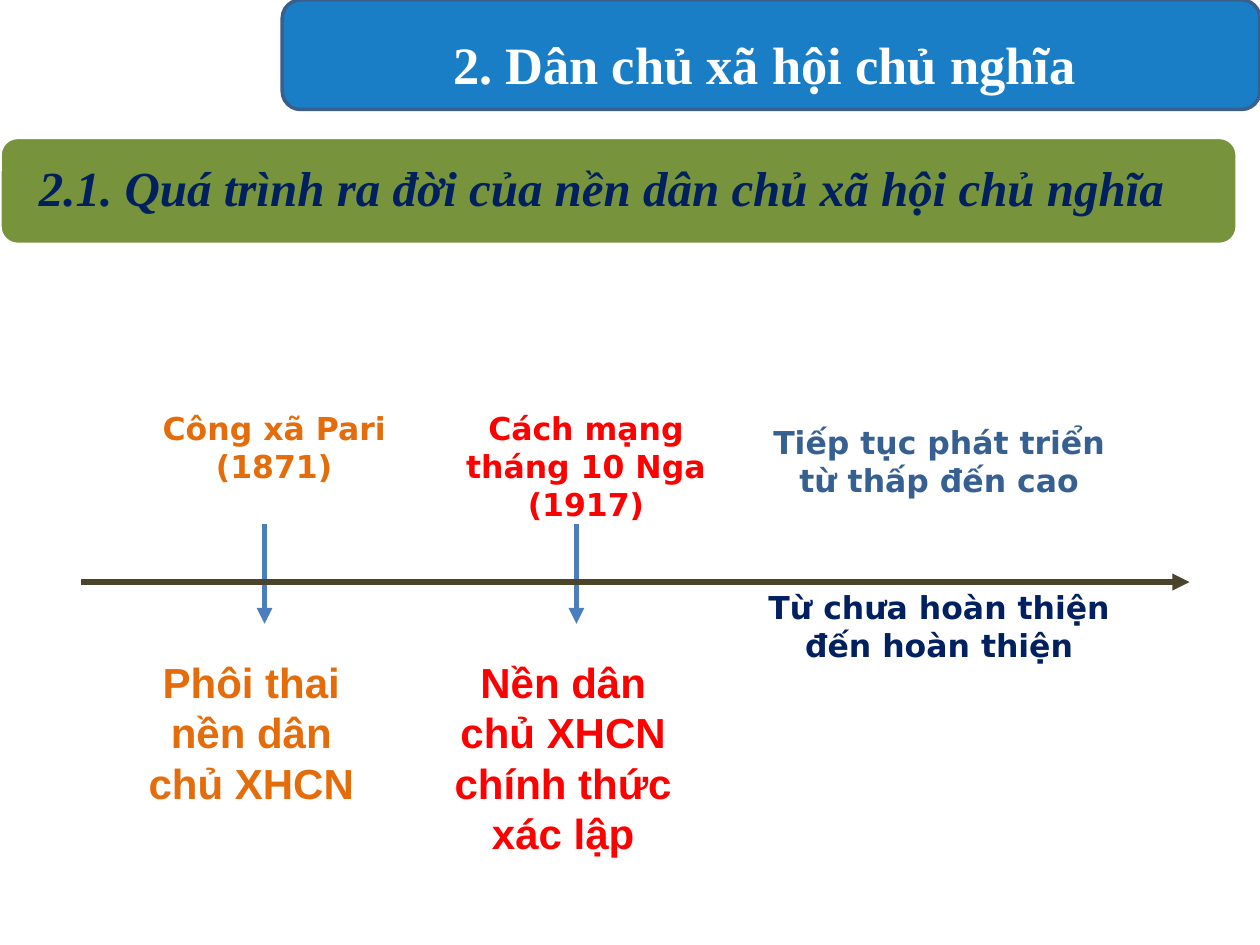
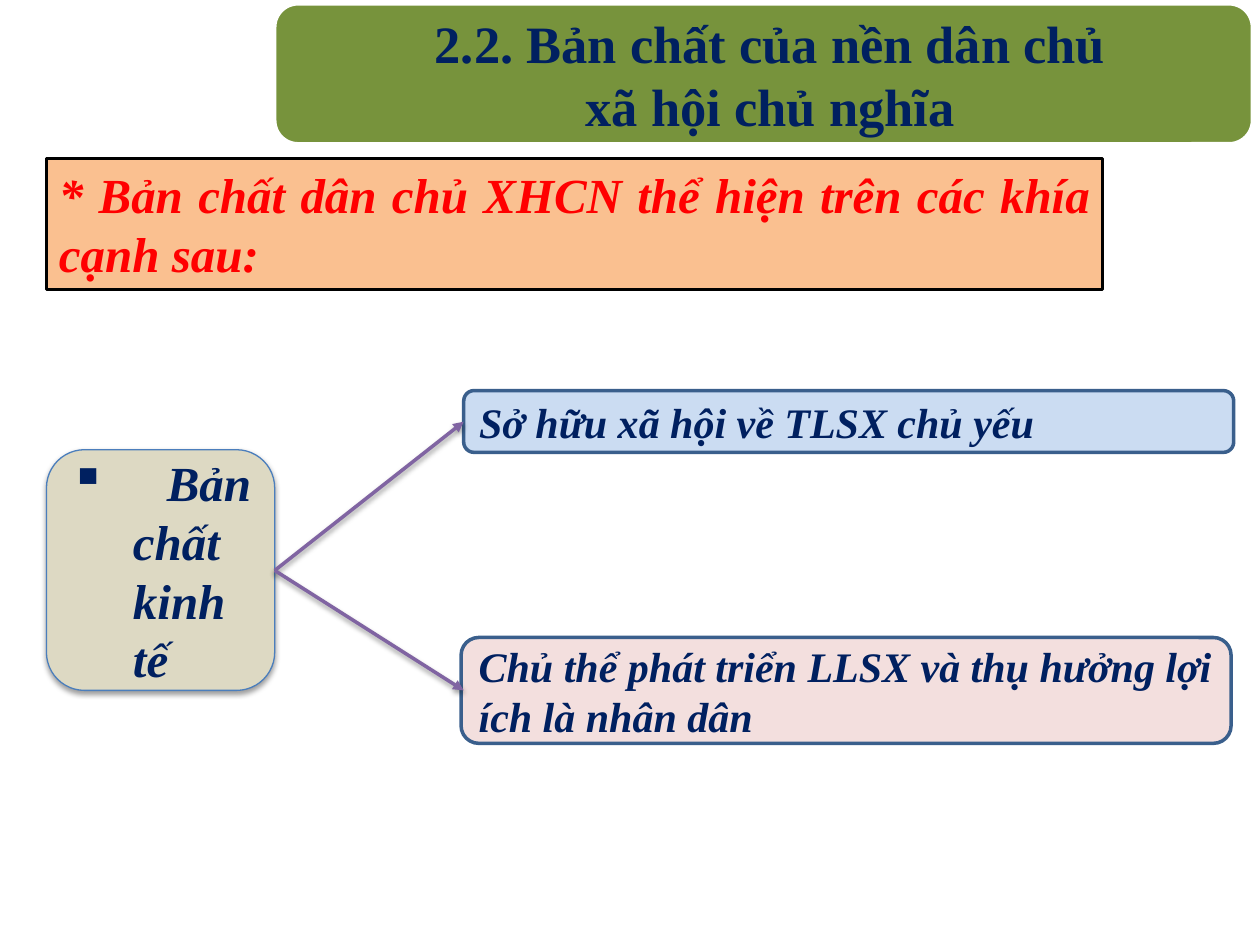
from lxml.etree import SubElement
from pptx import Presentation
from pptx.dml.color import RGBColor
from pptx.enum.shapes import MSO_CONNECTOR, MSO_SHAPE
from pptx.enum.text import MSO_ANCHOR, MSO_AUTO_SIZE, PP_ALIGN
from pptx.oxml.ns import qn
from pptx.util import Pt

# Shared look
NAVY, RED, ORANGE, WHITE = "002060", "FF0000", "E46C0A", "FFFFFF"
GREEN, STEEL, EDGE, PURPLE = "77933C", "4B7EBC", "3A5F8C", "8064A2"
SERIF, SANS, LABEL = "Times New Roman", "Arial", "DejaVu Sans"
ROUND, RECT = MSO_SHAPE.ROUNDED_RECTANGLE, MSO_SHAPE.RECTANGLE
LEFT, MID, JUST = PP_ALIGN.LEFT, PP_ALIGN.CENTER, PP_ALIGN.JUSTIFY


def color(code):
    return RGBColor.from_string(code)


def add_tag(parent, name, **attrs):
    """Append a drawing element with the given attributes."""
    return SubElement(parent, qn("a:" + name), {k: str(v) for k, v in attrs.items()})


def write(shape, text, size, tint, font=SERIF, italic=False, align=MID,
          anchor=MSO_ANCHOR.MIDDLE, pad=7.2):
    """Fill a shape, text box or placeholder with formatted text."""
    frame = shape.text_frame
    frame.text = text
    frame.word_wrap = True
    frame.auto_size = MSO_AUTO_SIZE.NONE
    frame.vertical_anchor = anchor
    frame.margin_left = frame.margin_right = Pt(pad)
    for para in frame.paragraphs:
        para.alignment = align
        for run in para.runs:
            run.font.name, run.font.size = font, Pt(size)
            run.font.bold, run.font.italic = True, italic
            run.font.color.rgb = color(tint)
    return shape


def add_box(slide, area, fill, edge, width=2, kind=ROUND, alpha=None):
    """Draw a filled, outlined shape, optionally see-through."""
    box = slide.shapes.add_shape(kind, *map(Pt, area))
    box.shadow.inherit = False
    box.fill.solid()
    box.fill.fore_color.rgb = color(fill)
    box.line.color.rgb = color(edge)
    box.line.width = Pt(width)
    if alpha:
        tone = box.element.spPr.find(qn("a:solidFill"))[0]
        add_tag(tone, "alpha", val=alpha * 1000)
    return box


def add_text(slide, area, text, size, tint, **style):
    box = slide.shapes.add_textbox(*map(Pt, area))
    return write(box, text, size, tint, **style)


def add_title(slide, area, text, tint, **style):
    title = slide.shapes.title
    title.left, title.top, title.width, title.height = map(Pt, area)
    write(title, text, 30, tint, **style)
    # Bring the title in front of its band
    slide.shapes.element.append(title.element)


def add_glow(effects):
    """Add the soft drop shadow to an effect list."""
    shade = add_tag(effects, "outerShdw", blurRad=Pt(3.1), dist=Pt(1.6),
                    dir=90 * 60000, rotWithShape=0)
    add_tag(add_tag(shade, "srgbClr", val="000000"), "alpha", val=38000)


def add_arrow(slide, start, end, tint, width, glow=False):
    arrow = slide.shapes.add_connector(
        MSO_CONNECTOR.STRAIGHT, *map(Pt, (*start, *end)))
    arrow.line.color.rgb = color(tint)
    arrow.line.width = Pt(width)
    props = arrow.element.spPr
    add_tag(props.find(qn("a:ln")), "tailEnd", type="triangle")
    effects = add_tag(props, "effectLst")
    if glow:
        add_glow(effects)


def add_bullet(para, mark, indent):
    props = para._p.get_or_add_pPr()
    props.set("marL", str(Pt(indent)))
    props.set("indent", str(-Pt(indent)))
    add_tag(props, "buChar", char=mark)


def build_birth(slide):
    """Timeline of how socialist democracy came about."""
    # Title and section bands
    add_box(slide, (161.3, 0, 558.7, 62.6), "0070C0", EDGE, alpha=90)
    add_title(slide, (161.3, 5, 558.7, 62.6), "2. Dân chủ xã hội chủ nghĩa ", WHITE)
    add_box(slide, (0, 78.5, 707, 61.2), GREEN, WHITE)
    section = add_text(slide, (5, 81.4, 697, 55.4),
                       "2.1. Quá trình ra đời của nền dân chủ xã hội chủ nghĩa",
                       28, NAVY, italic=True, align=LEFT, pad=17.3)
    section.text_frame.paragraphs[0].line_spacing = 0.9

    # Events above the axis, outcomes below it
    stages = [
        ("Công xã Pari (1871)", "Phôi thai nền dân chủ XHCN", ORANGE),
        ("Cách mạng tháng 10 Nga (1917)", "Nền dân chủ XHCN chính thức xác lập", RED),
    ]
    for i, (event, result, tint) in enumerate(stages):
        x = 77.8 + 178.2 * i
        add_text(slide, (x, 230.4, 157.7, 73), event, 18, tint,
                 font=LABEL, anchor=MSO_ANCHOR.TOP)
        add_text(slide, (x - 8, 371.5, 147.6, 124), result, 24, tint,
                 font=SANS, anchor=MSO_ANCHOR.TOP)
        add_arrow(slide, (x + 73.4, 299.5), (x + 73.4, 356.4), STEEL, 3)

    # Later development
    trends = [(238.3, "Tiếp tục phát triển từ thấp đến cao", "376092"),
              (332.6, "Từ chưa hoàn thiện đến hoàn thiện", NAVY)]
    for y, text, tint in trends:
        add_text(slide, (429, y, 215.3, 51), text, 18, tint,
                 font=LABEL, anchor=MSO_ANCHOR.TOP)
    add_arrow(slide, (46.5, 332.6), (679.7, 332.6), "4A452A", 3.25)


def build_nature(slide):
    """Economic nature and its two aspects."""
    # Title band and lead sentence
    add_box(slide, (157, 2.2, 558.7, 80), GREEN, WHITE)
    add_title(slide, (167.8, 6.5, 552.2, 72),
              "2.2. Bản chất của nền dân chủ \nxã hội chủ nghĩa ", NAVY, pad=17.3)
    lead = add_box(slide, (26.6, 90.7, 603.4, 74.9), "FAC090", "000000", kind=RECT)
    write(lead, "* Bản chất dân chủ XHCN thể hiện trên các khía cạnh sau: ",
          28, RED, italic=True, align=JUST, anchor=MSO_ANCHOR.TOP)

    # Root of the tree
    root = add_box(slide, (26.6, 257, 130.4, 137.5), "DDD9C3", STEEL, 0.75)
    add_glow(root.element.spPr.find(qn("a:effectLst")))
    write(root, " Bản chất kinh tế", 28, NAVY, italic=True, align=JUST)
    add_bullet(root.text_frame.paragraphs[0], "▪", 36)

    # Aspects, each with its arrow
    aspects = [
        ((265, 223.2, 440, 35.3), "C6D9F1", 241, "Sở hữu xã hội về TLSX chủ yếu"),
        ((263.5, 364.3, 440, 60.5), "F2DCDB", 394.5,
         "Chủ thể phát triển LLSX và thụ hưởng lợi ích là nhân dân"),
    ]
    for area, fill, tip, text in aspects:
        box = add_box(slide, area, fill, EDGE, alpha=90)
        write(box, text, 24, NAVY, italic=True, align=LEFT)
        add_arrow(slide, (157, 326), (265, tip), PURPLE, 2, glow=True)


def main():
    deck = Presentation()
    deck.slide_width, deck.slide_height = Pt(720), Pt(540)
    for build in (build_birth, build_nature):
        build(deck.slides.add_slide(deck.slide_layouts[5]))
    deck.save("out.pptx")


if __name__ == "__main__":
    main()
